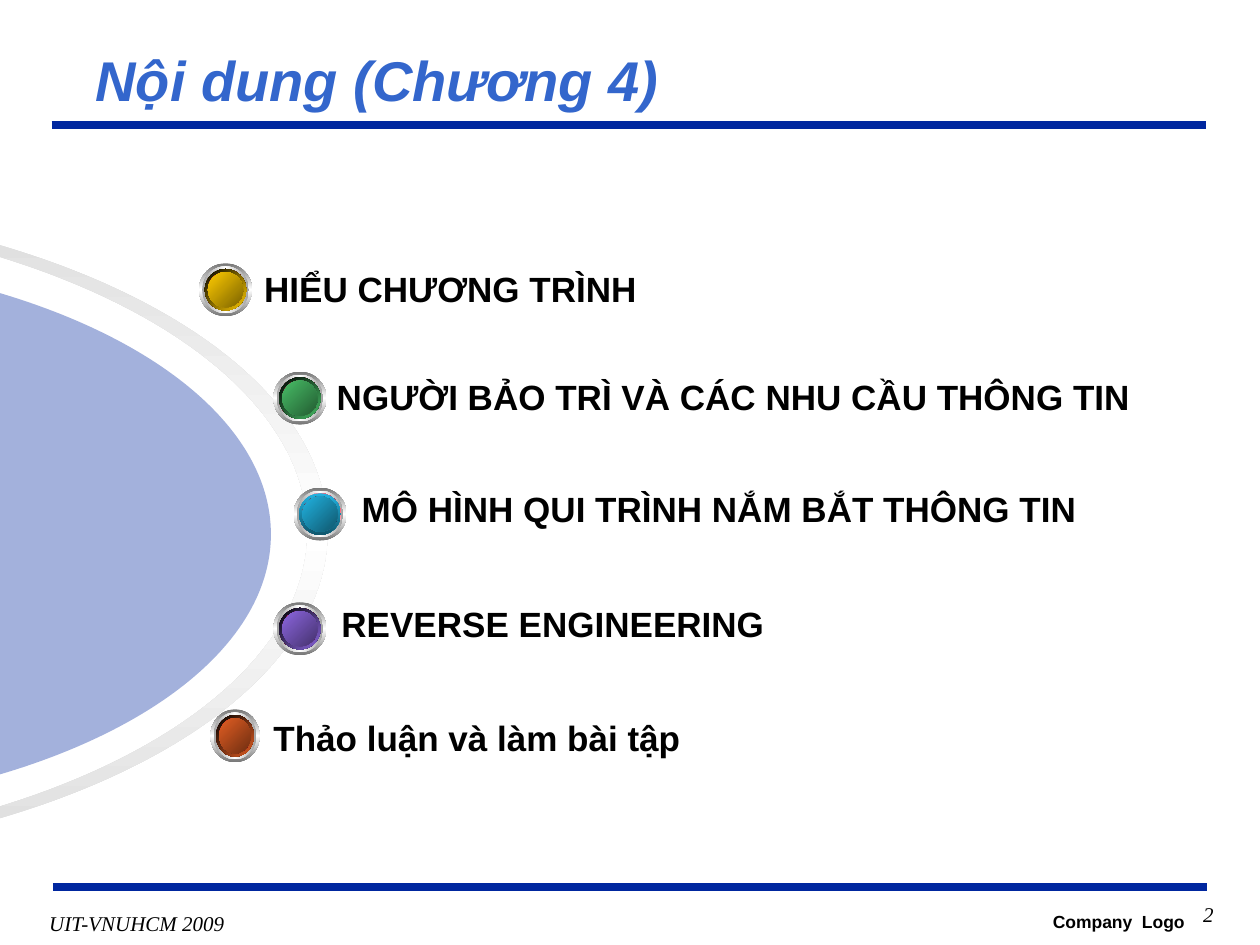
from lxml.etree import Element, SubElement
from pptx import Presentation
from pptx.dml.color import RGBColor
from pptx.enum.shapes import MSO_CONNECTOR, MSO_SHAPE
from pptx.enum.text import MSO_ANCHOR, PP_ALIGN
from pptx.oxml.ns import qn
from pptx.util import Inches, Pt

BLACK = RGBColor(0x00, 0x00, 0x00)
WHITE = RGBColor(0xFF, 0xFF, 0xFF)
NAVY = RGBColor(0x00, 0x27, 0x9F)
TITLE_BLUE = RGBColor(0x33, 0x66, 0xCC)
PALE_GREY = RGBColor(0xDC, 0xDC, 0xDC)
DARK_GREY = RGBColor(0x76, 0x76, 0x76)
MID_GREY = RGBColor(0xA2, 0xA2, 0xA2)
RED = RGBColor(0xFC, 0x01, 0x28)
TEAL = RGBColor(0x21, 0x6B, 0x6B)
YELLOW, OLIVE = RGBColor(0xFF, 0xCC, 0x00), RGBColor(0x7C, 0x63, 0x00)
GREEN, DARK_GREEN = RGBColor(0x48, 0xBE, 0x67), RGBColor(0x23, 0x5C, 0x32)
CYAN, DARK_CYAN = RGBColor(0x21, 0xB3, 0xE1), RGBColor(0x10, 0x57, 0x6D)
VIOLET, DARK_VIOLET = RGBColor(0x8D, 0x67, 0xE1), RGBColor(0x45, 0x32, 0x6D)
ORANGE, BROWN = RGBColor(0xE3, 0x5E, 0x23), RGBColor(0x6E, 0x2E, 0x11)

deck = Presentation()
deck.slide_width, deck.slide_height = Inches(10), Inches(7.5)
page = deck.slides.add_slide(deck.slide_layouts[6])
shapes = page.shapes

# Grid of 1000 columns by 750 rows
COLUMN = deck.slide_width // 1000
ROW = deck.slide_height // 750


def paint_gradient(shape, angle, *colours):
    """Spread the colours evenly along a line at a clockwise angle."""
    shape.shadow.inherit = False
    shape.line.fill.background()
    shape.fill.gradient()
    gradient = shape._element.spPr.find(qn("a:gradFill"))
    stops = gradient.find(qn("a:gsLst"))
    for stop in list(stops):
        stops.remove(stop)
    for index, colour in enumerate(colours):
        position = 100000 * index // (len(colours) - 1)
        stop = SubElement(stops, qn("a:gs"), pos=str(position))
        SubElement(stop, qn("a:srgbClr"), val=str(colour))
    gradient.find(qn("a:lin")).set("ang", str(angle * 60000))


def write_text(box, text, size, align=PP_ALIGN.LEFT, name="Arial", colour=BLACK,
               bold=True, italic=False, wrap=True, anchor=MSO_ANCHOR.TOP):
    frame = box.text_frame
    frame.text = text
    frame.word_wrap = wrap
    frame.vertical_anchor = anchor
    para = frame.paragraphs[0]
    para.alignment = align
    font = para.runs[0].font
    font.name, font.size, font.color.rgb = name, Pt(size), colour
    font.bold, font.italic = bold, italic
    return para


# Rules above and below the content
for left, row in ((41, 99), (42, 704)):
    rule = shapes.add_connector(MSO_CONNECTOR.STRAIGHT, left * COLUMN, row * ROW,
                                (left + 916) * COLUMN, row * ROW)
    rule.line.color.rgb = NAVY
    rule.line.width = Pt(4.5)
    SubElement(rule._element.spPr, qn("a:effectLst"))

# Footer and title
serif = {"name": "Times New Roman", "bold": False, "italic": True}
footer = shapes.add_textbox(29 * COLUMN, 718 * ROW, 159 * COLUMN, 29 * ROW)
write_text(footer, "UIT-VNUHCM 2009", 12, PP_ALIGN.CENTER, wrap=False, **serif)
company = shapes.add_textbox(783 * COLUMN, 718 * ROW, 167 * COLUMN, 32 * ROW)
write_text(company, "Company  Logo", 10, PP_ALIGN.RIGHT)
title = shapes.add_textbox(66 * COLUMN, 33 * ROW, 887 * COLUMN, 59 * ROW)
write_text(title, "Nội dung (Chương 4)", 32, colour=TITLE_BLUE, italic=True,
           anchor=MSO_ANCHOR.MIDDLE)

# Half ring and half disc: every three points make a curve, a single one a line
outlines = [
    ((3, 3, 1, 3, 3), [
        (-262, 166), (19, 168), (244, 282), (244, 422), (244, 562), (19, 676), (-262, 678),
        (-262, 686), (28, 684), (260, 566), (260, 422), (260, 278), (28, 160), (-262, 158)]),
    ((3, 3), [
        (-215, 203), (22, 203), (215, 302), (215, 424), (215, 546), (22, 644), (-215, 644)]),
]
arcs = []
for segments, points in outlines:
    builder = shapes.build_freeform(*points[0], scale=COLUMN)
    builder.add_line_segments(points[1:], close=True)
    arc = builder.convert_to_shape()
    lines = iter(list(arc._element.iter(qn("a:lnTo"))))
    for count in segments:
        group = [next(lines) for _ in range(count)]
        if count == 3:
            curve = Element(qn("a:cubicBezTo"))
            group[0].addprevious(curve)
            for line in group:
                curve.append(line[0])
                line.getparent().remove(line)
    arcs.append(arc)
ring, disc = arcs
paint_gradient(ring, 90, PALE_GREY, WHITE, PALE_GREY)
disc.shadow.inherit = False
disc.line.fill.background()
disc.fill.solid()
disc.fill.fore_color.rgb = NAVY
tint = disc._element.spPr.find(qn("a:solidFill"))[0]
SubElement(tint, qn("a:alpha"), val="36000")

# Chapter items: text, line spacing, pill place, knob place, colours
items = [
    ("HIỂU CHƯƠNG TRÌNH", 0.9, (193, 208, 514, 47), (158, 209, 42), YELLOW, OLIVE),
    ("NGƯỜI BẢO TRÌ VÀ CÁC NHU CẦU THÔNG TIN", 1, (250, 289, 686, 51),
     (217, 295, 42), GREEN, DARK_GREEN),
    ("MÔ HÌNH QUI TRÌNH NẮM BẮT THÔNG TIN", 0.8, (269, 379, 587, 56),
     (233, 387, 42), CYAN, DARK_CYAN),
    ("REVERSE ENGINEERING", 1, (253, 467, 483, 56), (217, 478, 42), VIOLET, DARK_VIOLET),
    ("Thảo luận và làm bài tập", 1, (199, 557, 483, 56), (167, 563, 39), ORANGE, BROWN),
]
KNOB_HEIGHT = 42

for text, spacing, (left, top, width, height), _, _, _ in reversed(items):
    pill = shapes.add_shape(MSO_SHAPE.ROUNDED_RECTANGLE, left * COLUMN, top * ROW,
                            width * COLUMN, height * ROW)
    pill.adjustments[0] = 0.5
    pill.shadow.inherit = False
    pill.fill.background()
    pill.line.color.rgb = WHITE
    pill.line.width = Pt(2.25)
    para = write_text(pill, text, 20, wrap=False, anchor=MSO_ANCHOR.MIDDLE)
    para.line_spacing = spacing

# Knobs: stacked ellipses, each with its inset, angle and colours
for _, _, _, (left, top, width), bright, dark in items:
    rim = (90, CYAN, DARK_CYAN) if bright == CYAN else (45, BLACK, bright)
    layers = [
        (0, (90, DARK_GREY, WHITE, DARK_GREY)),
        (2.5, (0, MID_GREY, WHITE, MID_GREY)),
        (4.5, (45, WHITE, RED, WHITE)),
        (4.5, rim),
        (7, (315, TEAL, RED, TEAL)),
        (7, (45, bright, dark)),
    ]
    knob = shapes.add_group_shape()
    for inset, gradient in layers:
        layer = knob.shapes.add_shape(
            MSO_SHAPE.OVAL, int((left + inset) * COLUMN), int((top + inset) * ROW),
            int((width - 2 * inset) * COLUMN), int((KNOB_HEIGHT - 2 * inset) * ROW))
        paint_gradient(layer, *gradient)

# Page number
number = shapes.add_textbox(848 * COLUMN, 711 * ROW, 125 * COLUMN, 33 * ROW)
write_text(number, "2", 12, PP_ALIGN.RIGHT, **serif)

deck.save("out.pptx")
